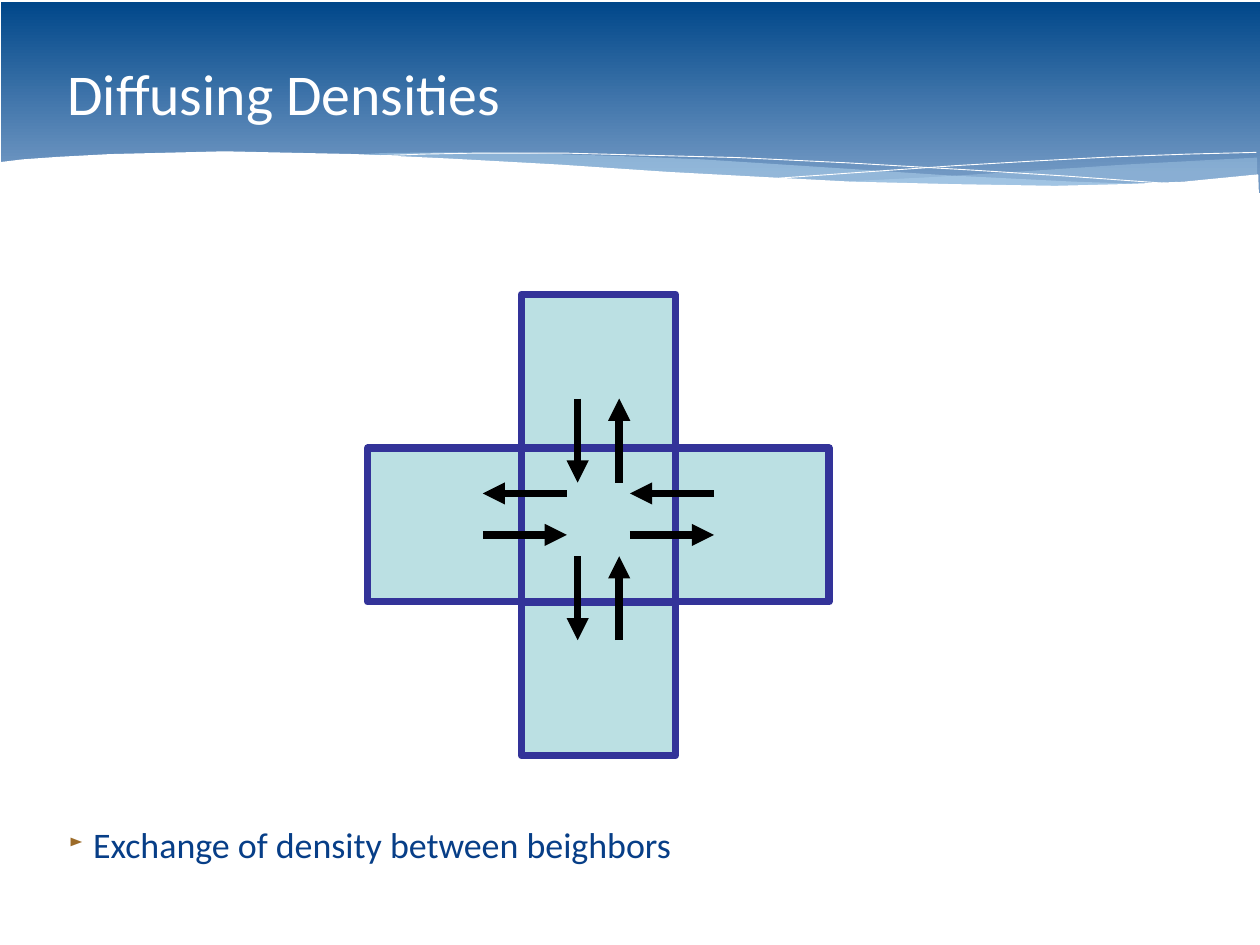
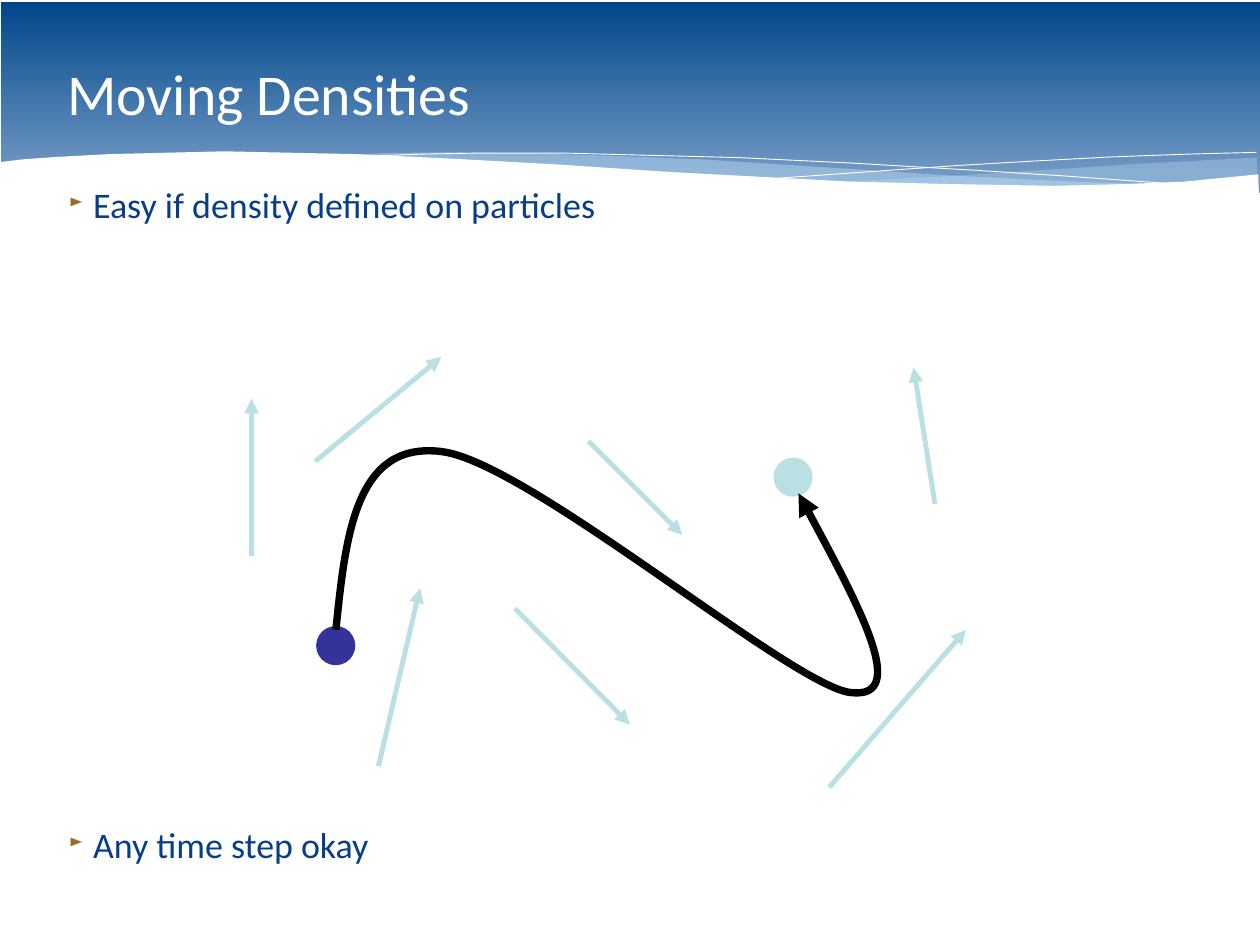
"""Build two slides on diffusing and moving densities."""
from dataclasses import dataclass

from lxml import etree
from pptx import Presentation
from pptx import util as u
from pptx.dml import color
from pptx.enum import shapes, text
from pptx.oxml import ns


@dataclass(frozen=True)
class Theme:
    """Hold the colours, font and sizes of the deck."""
    top: str = "00478A"
    low: str = "7198C3"
    wave: str = "C6E7FC"
    white: str = "FFFFFF"
    body: str = "073E87"
    mark: str = "9C6B29"
    pale: str = "BBE0E3"
    deep: str = "333399"
    black: str = "000000"
    font: str = "Calibri"
    title: float = 46.9
    point: float = 29.2
    thick: float = 6
    thin: float = 4


T = Theme()
WHITE_WAVE = [
    (0, 4.65), (0.66, 4.57), (1.65, 4.5), (3.15, 4.42), (5.21, 4.37),
    (6.43, 4.34), (7.82, 4.37), (10.19, 4.42), (12.93, 4.55), (16.03, 4.72),
    (19.15, 4.93), (21.95, 5.08), (24.41, 5.21), (27.28, 5.28),
    (30.25, 5.33), (32.23, 5.28), (33.93, 5.21), (36.07, 5), (36.1, 5.87),
    (0, 5.87)]
RIGHT_WAVE = [
    (36.04, 4.52), (34.49, 4.6), (32.26, 4.72), (29.57, 4.9), (26.72, 5.08),
    (24.13, 5.21), (26.31, 5.28), (28.65, 5.33), (31.06, 5.33),
    (33.07, 5.26), (34.52, 5.16), (36.04, 5)]
LONG_WAVE = [
    (32.89, 5.28), (30.78, 5.21), (27.18, 5.03), (22.91, 4.75),
    (20.12, 4.57), (17.6, 4.47), (15.01, 4.39), (12.8, 4.37), (10.97, 4.39),
    (9.96, 4.45), (12.07, 4.52), (15.27, 4.7), (19.15, 4.95), (21.87, 5.11),
    (24.31, 5.21), (26.95, 5.31), (29.24, 5.33), (31.19, 5.33)]
FALL_LINE = [
    (10.82, 4.47), (12.12, 4.42), (13.77, 4.39), (16.15, 4.39),
    (18.42, 4.45), (21.13, 4.52), (24.28, 4.67), (27.89, 4.88),
    (30.56, 5.05), (33.45, 5.26)]
RISE_LINE = [
    (22.33, 5.11), (24.56, 4.95), (27.41, 4.75), (29.62, 4.62),
    (31.88, 4.5), (34.06, 4.42), (36.02, 4.37)]
TRACK = [
    (9.63, 18.06), (9.91, 15.34), (10.19, 12.65), (12.65, 12.95),
    (15.11, 13.23), (22.68, 19.66), (24.38, 19.86), (26.09, 20.07),
    (24.49, 17.12), (22.89, 14.15)]
FLOW = [
    (10.85, 21.97, 12.04, 16.87), (14.76, 17.45, 18.06, 20.78),
    (23.77, 22.58, 27.69, 18.06), (26.8, 14.45, 26.19, 10.54),
    (16.87, 12.65, 19.56, 15.34), (9.04, 13.23, 12.65, 10.24),
    (7.21, 15.95, 7.21, 11.43)]


def rgb(code):
    """Turn a hex code into a colour."""
    return color.RGBColor.from_string(code)


def add(node, tag, **attrs):
    """Append an XML child and return it."""
    return etree.SubElement(node, ns.qn(tag), attrs)


def paint(shape, fill=None, line=None, width=0):
    """Set fill and line of a shape and drop its shadow."""
    shape.shadow.inherit = False
    if fill:
        shape.fill.solid()
        shape.fill.fore_color.rgb = rgb(fill)
    else:
        shape.fill.background()
    if line:
        stroke(shape, line, width)
    else:
        shape.line.fill.background()


def stroke(shape, code, width):
    """Set colour and width of a line."""
    shape.line.color.rgb = rgb(code)
    shape.line.width = u.Pt(width)


def point_end(shape):
    """Put an arrowhead at the end of a line."""
    add(shape.line._get_or_add_ln(), "a:tailEnd", type="triangle")


def block(slide, kind, x, y, w, h, **look):
    """Add a preset shape."""
    shape = slide.shapes.add_shape(kind, u.Cm(x), u.Cm(y), u.Cm(w), u.Cm(h))
    paint(shape, **look)
    return shape


def outline(slide, dots, close=False, **look):
    """Add a freeform through the given points."""
    spots = [(u.Cm(x), u.Cm(y)) for x, y in dots]
    pen = slide.shapes.build_freeform(*spots[0])
    pen.add_line_segments(spots[1:], close=close)
    shape = pen.convert_to_shape()
    paint(shape, **look)
    return shape


def fade(shape, share):
    """Give a solid fill an opacity in percent."""
    tint = shape.element.spPr.find(".//" + ns.qn("a:srgbClr"))
    add(tint, "a:alpha", val=str(share * 1000))


def bend(shape):
    """Turn each three line steps into one cubic curve."""
    steps = list(shape.element.iter(ns.qn("a:lnTo")))
    for i in range(0, len(steps), 3):
        curve = add(steps[i].getparent(), "a:cubicBezTo")
        for step in steps[i:i + 3]:
            curve.append(step[0])
            step.getparent().remove(step)


def arrow(slide, x1, y1, x2, y2, code, width):
    """Add a straight arrow."""
    line = slide.shapes.add_connector(
        shapes.MSO_CONNECTOR.STRAIGHT,
        u.Cm(x1), u.Cm(y1), u.Cm(x2), u.Cm(y2))
    stroke(line, code, width)
    point_end(line)
    add(line.element.spPr, "a:effectLst")


def write(slide, words, y, h, size, code, pads, bullet=False):
    """Add a line of text, with a bullet if asked."""
    box = slide.shapes.add_textbox(u.Cm(1.8), u.Cm(y), u.Cm(32.51), u.Cm(h))
    frame = box.text_frame
    frame.word_wrap = True
    frame.margin_left, frame.margin_top, frame.margin_bottom = map(u.Cm, pads)
    frame.vertical_anchor = (text.MSO_ANCHOR.TOP if bullet
                             else text.MSO_ANCHOR.MIDDLE)
    para = frame.paragraphs[0]
    para.text = words
    if bullet:
        props = para._p.get_or_add_pPr()
        props.set("marL", str(u.Cm(0.69)))
        props.set("indent", str(-u.Cm(0.69)))
        add(add(props, "a:buClr"), "a:srgbClr", val=T.mark)
        add(props, "a:buSzPct", val="50000")
        add(props, "a:buChar", char="►")
    para.font.name = T.font
    para.font.size = u.Pt(size)
    para.font.color.rgb = rgb(code)


def item(slide, words, y):
    """Add a bullet point."""
    write(slide, words, y, 1.7, T.point, T.body, (0.18, 0.18, 0.18), True)


def start(deck, title):
    """Add a slide with the wavy band and a title."""
    slide = deck.slides.add_slide(deck.slide_layouts[6])
    band = block(slide, shapes.MSO_SHAPE.RECTANGLE, 0.03, 0.05, 36.09, 5.49)
    band.fill.gradient()
    band.fill.gradient_angle = 270
    for stop, code, place in zip(band.fill.gradient_stops,
                                 (T.top, T.low), (0, 0.9)):
        stop.color.rgb = rgb(code)
        stop.position = place
    for dots, share in ((RIGHT_WAVE, 29), (LONG_WAVE, 40)):
        fade(outline(slide, dots, True, fill=T.wave), share)
    for dots in (FALL_LINE, RISE_LINE):
        outline(slide, dots, line=T.white)
    outline(slide, WHITE_WAVE, True, fill=T.white)
    write(slide, title, 0.58, 3.94, T.title, T.white, (0.13, 0.18, 0))
    return slide


def cross(slide):
    """Draw a cell with its four neighbours."""
    side = 4.41
    for col, row in ((0, -1), (-1, 0), (0, 0), (1, 0), (0, 1)):
        block(slide, shapes.MSO_SHAPE.RECTANGLE, 14.95 + col * side,
              12.85 + row * side, side, side,
              fill=T.pale, line=T.deep, width=T.thick)


def trade(slide):
    """Draw the paired arrows over the cell borders."""
    size = 2.41
    ends = []
    for y in (11.43, 15.95):
        ends += [(16.56, y, 16.56, y + size), (17.75, y + size, 17.75, y)]
    for x in (13.84, 18.06):
        ends += [(x + size, 14.15, x, 14.15), (x, 15.34, x + size, 15.34)]
    for spot in ends:
        arrow(slide, *spot, T.black, T.thick)


def drift(slide):
    """Draw a particle that moves through the flow."""
    for x, y, code in ((9.17, 18.06, T.deep), (22.28, 13.23, T.pale)):
        block(slide, shapes.MSO_SHAPE.OVAL, x, y, 0.91, 0.91,
              fill=code, line=code, width=T.thick)
    track = outline(slide, TRACK, line=T.black, width=T.thick)
    bend(track)
    point_end(track)
    for spot in FLOW:
        arrow(slide, *spot, T.pale, T.thin)


def main():
    """Build and save the deck."""
    deck = Presentation()
    deck.slide_width, deck.slide_height = u.Cm(36.12), u.Cm(27.1)
    slide = start(deck, "Diffusing Densities")
    item(slide, "Exchange of density between beighbors", 23.4)
    cross(slide)
    trade(slide)
    slide = start(deck, "Moving Densities")
    item(slide, "Easy if density defined on particles", 5.05)
    item(slide, "Any time step okay", 23.4)
    drift(slide)
    deck.save("out.pptx")


if __name__ == "__main__":
    main()
